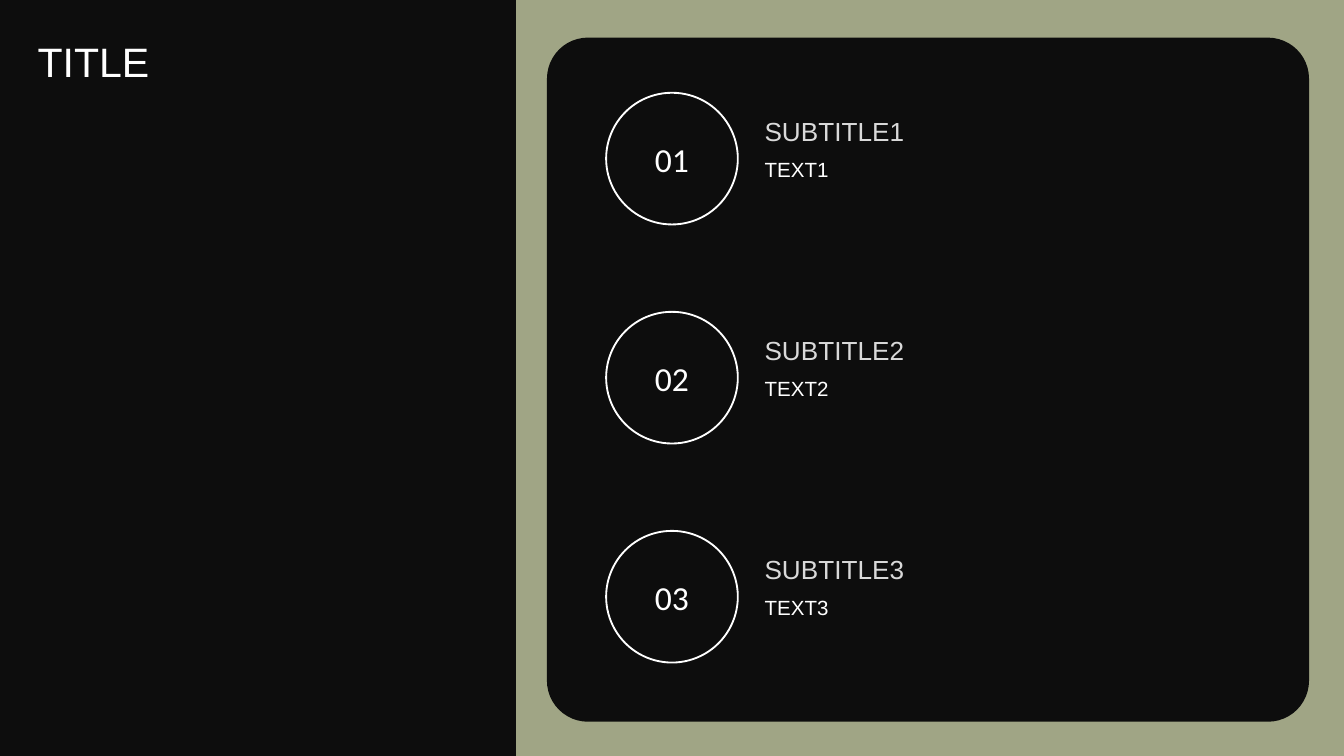
from pptx import Presentation
from pptx.dml.color import RGBColor
from pptx.enum.shapes import MSO_SHAPE as Shape
from pptx.enum.text import MSO_ANCHOR as Anchor, MSO_AUTO_SIZE as Fit, PP_ALIGN as Align
from pptx.util import Inches, Pt

WIDE = 10
HIGH = WIDE * 9 / 16
DARK, SAGE, WHITE, GREY = "0D0D0D", "A0A585", "FFFFFF", "D9D9D9"
TOP, PITCH = 0.54, 1.63
DISC_X, TEXT_X, TEXT_W = 4.51, 5.59, 3.91
DISC = 0.98


def color(code):
    return RGBColor.from_string(code)


def box(*sizes):
    return [Inches(size) for size in sizes]


def write(shape, text, size, code, font="Arial", align=Align.LEFT, anchor=Anchor.TOP):
    frame = shape.text_frame
    frame.text = text
    frame.word_wrap = True
    frame.auto_size = Fit.NONE
    frame.vertical_anchor = anchor
    line = frame.paragraphs[0]
    line.alignment = align
    line.font.name = font
    line.font.size = Pt(size)
    line.font.color.rgb = color(code)


def add_panel(slide, place, code, curve):
    panel = slide.shapes.add_shape(Shape.ROUNDED_RECTANGLE, *box(*place))
    panel.adjustments[0] = curve
    panel.shadow.inherit = False
    panel.fill.solid()
    panel.fill.fore_color.rgb = color(code)
    panel.line.fill.background()


def add_disc(slide, top, label):
    disc = slide.shapes.add_shape(Shape.OVAL, *box(DISC_X, top, DISC, DISC))
    disc.shadow.inherit = False
    disc.fill.background()
    disc.line.color.rgb = color(WHITE)
    disc.line.width = Pt(1)
    write(disc, label, 18, WHITE, "Calibri", Align.CENTER, Anchor.MIDDLE)


def add_text(slide, top, high, text, size, code, anchor):
    area = slide.shapes.add_textbox(*box(TEXT_X, top, TEXT_W, high))
    write(area, text, size, code, anchor=anchor)


def add_item(slide, num):
    """Add one row: numbered disc, subtitle and text."""
    top = TOP + (num - 1) * PITCH
    add_disc(slide, top + 0.15, f"{num:02}")
    add_text(slide, top, 0.6, f"SUBTITLE{num}", 14, GREY, Anchor.BOTTOM)
    add_text(slide, top + 0.58, 0.87, f"TEXT{num}", 11, WHITE, Anchor.TOP)


def set_title(slide, text):
    title = slide.shapes.title
    title.left, title.top, title.width, title.height = box(0.18, 0.22, 3.44, 2.01)
    write(title, text, 22, WHITE)


def main():
    deck = Presentation()
    deck.slide_width, deck.slide_height = box(WIDE, HIGH)
    slide = deck.slides.add_slide(deck.slide_layouts[5])
    slide.background.fill.solid()
    slide.background.fill.fore_color.rgb = color(DARK)
    set_title(slide, "TITLE")
    add_panel(slide, (3.84, 0, WIDE - 3.84, HIGH), SAGE, 0)
    add_panel(slide, (4.07, 0.28, 5.67, 5.09), DARK, 0.06)
    for num in range(1, 4):
        add_item(slide, num)
    deck.save("out.pptx")


if __name__ == "__main__":
    main()
